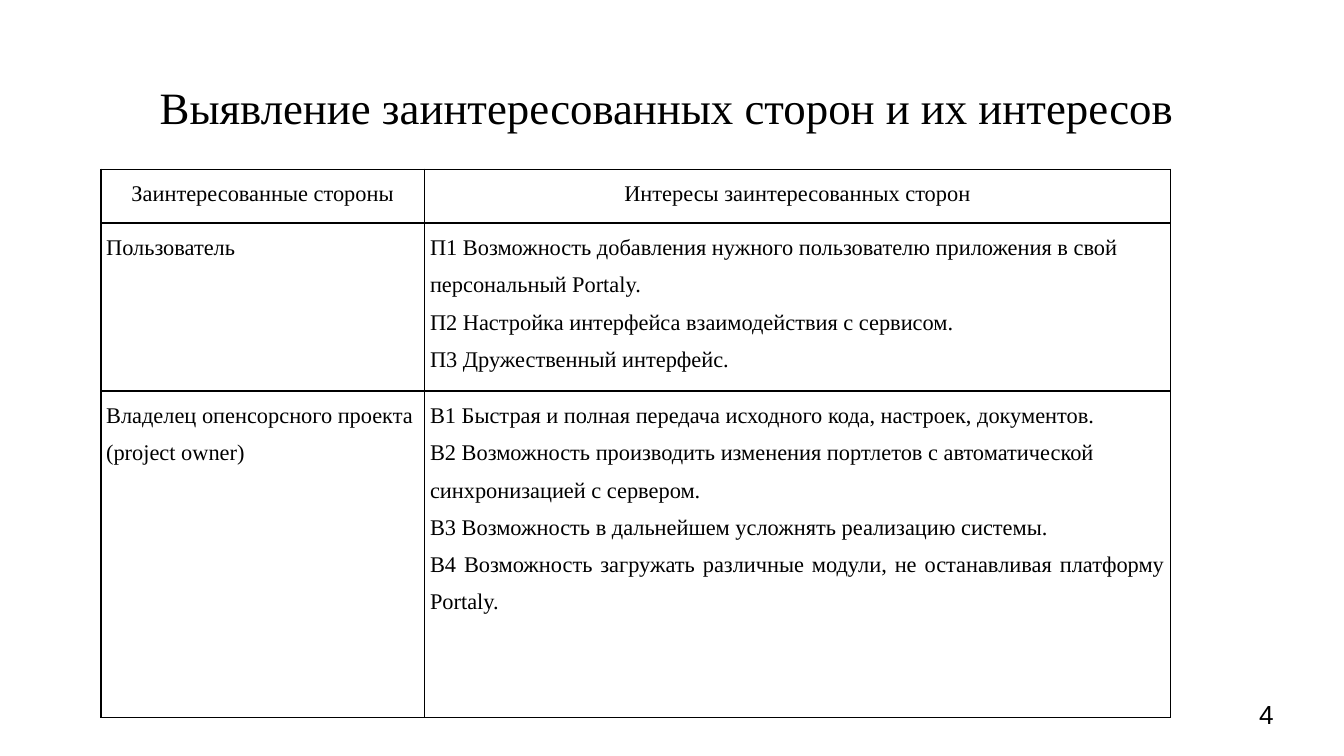
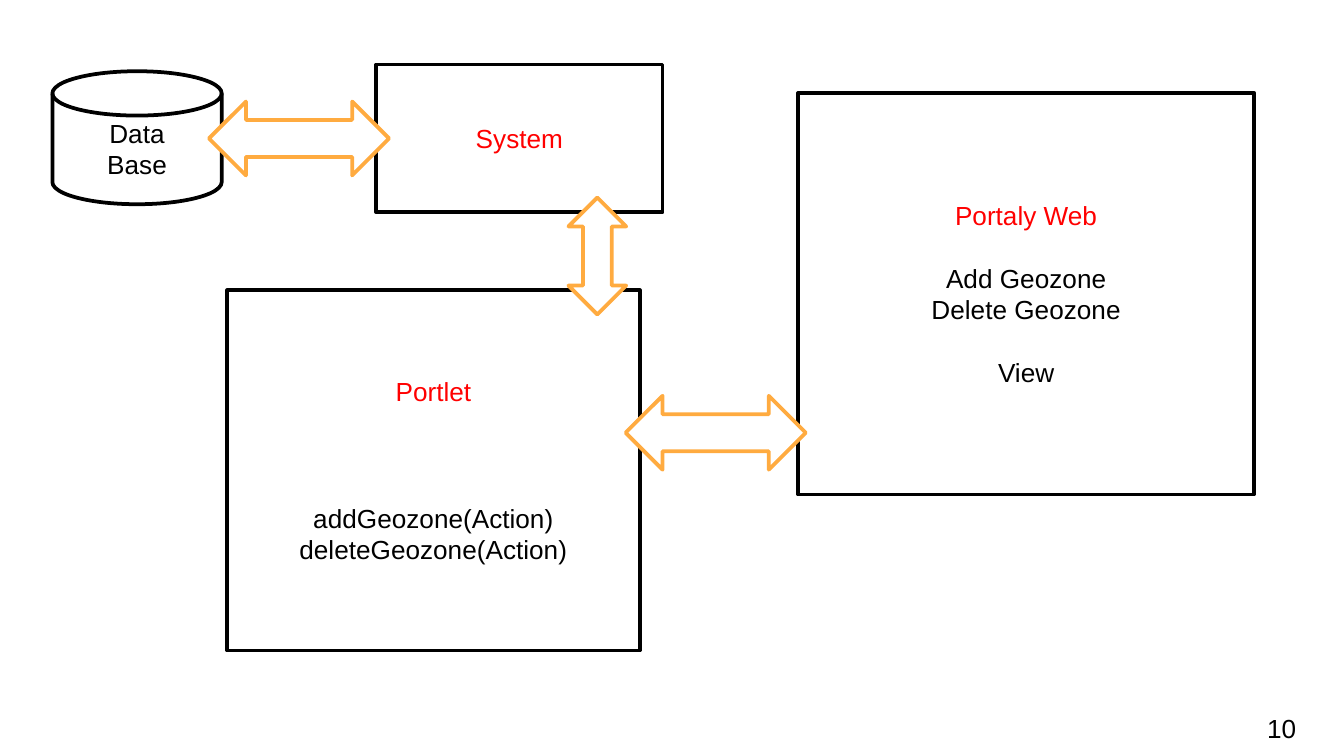
from lxml.etree import SubElement
from pptx import Presentation
from pptx.dml.color import RGBColor
from pptx.enum.shapes import MSO_SHAPE
from pptx.enum.text import MSO_ANCHOR, PP_ALIGN
from pptx.oxml.ns import qn
from pptx.util import Inches, Pt

BLACK = RGBColor(0x00, 0x00, 0x00)
WHITE = RGBColor(0xFF, 0xFF, 0xFF)
RED = RGBColor(0xFF, 0x00, 0x00)
ORANGE = RGBColor(0xFF, 0xAB, 0x40)
SANS = "Arial"
SERIF = "Times New Roman"
BLANK_LAYOUT = 6
BLOCK_GAP = 17

COLUMN_WIDTHS = [2.41, 5.55]
ROW_HEIGHTS = [0.4, 1.25, 2.43]
STAKEHOLDERS = [
    (["Заинтересованные стороны"], ["Интересы заинтересованных сторон"]),
    (["Пользователь"], [
        "П1 Возможность добавления нужного пользователю приложения в свой персональный Portaly.",
        "П2 Настройка интерфейса взаимодействия с сервисом.",
        "П3 Дружественный интерфейс.",
    ]),
    (["Владелец опенсорсного проекта (project owner)"], [
        "В1 Быстрая и полная передача исходного кода, настроек, документов.",
        "В2 Возможность производить изменения портлетов с автоматической синхронизацией с сервером.",
        "В3 Возможность в дальнейшем усложнять реализацию системы.",
        "В4 Возможность загружать различные модули, не останавливая платформу Portaly.",
    ]),
]


def write(frame, text, first=False, font=SANS, size=14, color=BLACK,
          align=PP_ALIGN.LEFT, spacing=None, before=0):
    """Put one formatted paragraph into a text frame and return it."""
    para = frame.paragraphs[0] if first else frame.add_paragraph()
    para.alignment = align
    para.space_before = Pt(before)
    if spacing:
        para.line_spacing = spacing
    span = para.add_run()
    span.text = text
    span.font.name = font
    span.font.size = Pt(size)
    span.font.color.rgb = color
    return para


def set_margins(holder, horizontal, vertical):
    """Set the inner margins of a text frame or a table cell."""
    holder.margin_left = holder.margin_right = Inches(horizontal)
    holder.margin_top = holder.margin_bottom = Inches(vertical)


def add_text(page, text, place, margins=(0.1, 0.1), anchor=MSO_ANCHOR.TOP,
             wrap=True, **style):
    """Add a text box holding one paragraph."""
    frame = page.shapes.add_textbox(*map(Inches, place)).text_frame
    frame.word_wrap = wrap
    frame.vertical_anchor = anchor
    set_margins(frame, *margins)
    write(frame, text, first=True, **style)


def add_outlined(page, kind, place, color):
    """Add a white preset shape with a coloured outline."""
    shape = page.shapes.add_shape(kind, *map(Inches, place))
    shape.shadow.inherit = False
    shape.fill.solid()
    shape.fill.fore_color.rgb = WHITE
    shape.line.color.rgb = color
    shape.line.width = Pt(2)
    return shape


def add_block(page, place, lines, kind=MSO_SHAPE.RECTANGLE):
    """Add a diagram block from lines of text, colour and space before."""
    frame = add_outlined(page, kind, place, BLACK).text_frame
    frame.word_wrap = True
    frame.vertical_anchor = MSO_ANCHOR.MIDDLE
    for index, (text, color, before) in enumerate(lines):
        write(frame, text, first=index == 0, color=color, before=before,
              align=PP_ALIGN.CENTER)


def add_arrow(page, place, rotation=0):
    """Add a double-headed block arrow."""
    add_outlined(page, MSO_SHAPE.UP_DOWN_ARROW, place, ORANGE).rotation = rotation


def add_borders(cell):
    """Draw a thin black line on each side of a cell."""
    properties = cell._tc.get_or_add_tcPr()
    for side in ("a:lnL", "a:lnR", "a:lnT", "a:lnB"):
        line = SubElement(properties, qn(side), w=str(Pt(1)))
        fill = SubElement(line, qn("a:solidFill"))
        SubElement(fill, qn("a:srgbClr"), val=str(BLACK))


def fill_cell(cell, texts, align):
    """Format a table cell, write its paragraphs and return the last."""
    set_margins(cell, 0.04, 0)
    add_borders(cell)
    cell.fill.background()
    paras = [write(cell.text_frame, text, first=index == 0, font=SERIF,
                   size=12, align=align, spacing=1.5)
             for index, text in enumerate(texts)]
    return paras[-1]


def add_stakeholder_table(page):
    """Add the table of stakeholders and their interests."""
    table = page.shapes.add_table(
        len(ROW_HEIGHTS), len(COLUMN_WIDTHS), Inches(0.75), Inches(1.26),
        Inches(sum(COLUMN_WIDTHS)), Inches(sum(ROW_HEIGHTS))).table
    table.first_row = table.horz_banding = False
    for column, width in zip(table.columns, COLUMN_WIDTHS):
        column.width = Inches(width)
    for row, height in zip(table.rows, ROW_HEIGHTS):
        row.height = Inches(height)
    for row_index, entries in enumerate(STAKEHOLDERS):
        align = PP_ALIGN.LEFT if row_index else PP_ALIGN.CENTER
        for column_index, texts in enumerate(entries):
            last = fill_cell(table.cell(row_index, column_index), texts, align)
    last.alignment = PP_ALIGN.JUSTIFY


def add_page(deck):
    """Add a blank page."""
    return deck.slides.add_slide(deck.slide_layouts[BLANK_LAYOUT])


def build_stakeholders(deck):
    """Build the page with the stakeholder table."""
    page = add_page(deck)
    add_text(page, "4", (9.27, 5.1, 0.6, 0.43), anchor=MSO_ANCHOR.MIDDLE)
    add_text(page, "Выявление заинтересованных сторон и их интересов ",
             (0.34, 0.49, 9.32, 0.63), font=SERIF, size=24,
             align=PP_ALIGN.CENTER)
    add_stakeholder_table(page)


def build_architecture(deck):
    """Build the page with the system diagram."""
    page = add_page(deck)
    add_block(page, (5.94, 0.69, 3.39, 2.99), [
        ("Portaly Web", RED, 0),
        ("Add Geozone", BLACK, BLOCK_GAP),
        ("Delete Geozone", BLACK, 0),
        ("View", BLACK, BLOCK_GAP),
    ])
    add_block(page, (1.69, 2.16, 3.07, 2.68), [
        ("Portlet", RED, 0),
        ("addGeozone(Action)", BLACK, 3 * BLOCK_GAP),
        ("deleteGeozone(Action)", BLACK, 0),
    ])
    add_block(page, (2.8, 0.48, 2.13, 1.1), [("System", RED, 0)])
    add_arrow(page, (4.23, 1.47, 0.43, 0.87))
    add_arrow(page, (5.05, 2.55, 0.55, 1.34), rotation=90)
    add_text(page, "10", (9.33, 5.25, 0.42, 0.34), margins=(0.1, 0.05),
             wrap=False)
    add_block(page, (0.39, 0.53, 1.26, 0.99),
              [("Data", BLACK, 0), ("Base", BLACK, 0)],
              kind=MSO_SHAPE.FLOWCHART_MAGNETIC_DISK)
    add_arrow(page, (1.95, 0.36, 0.55, 1.34), rotation=90)


def main():
    """Build and save the deck."""
    deck = Presentation()
    deck.slide_width = Inches(10)
    deck.slide_height = Inches(10) * 9 // 16
    build_stakeholders(deck)
    build_architecture(deck)
    deck.save("out.pptx")


if __name__ == "__main__":
    main()
